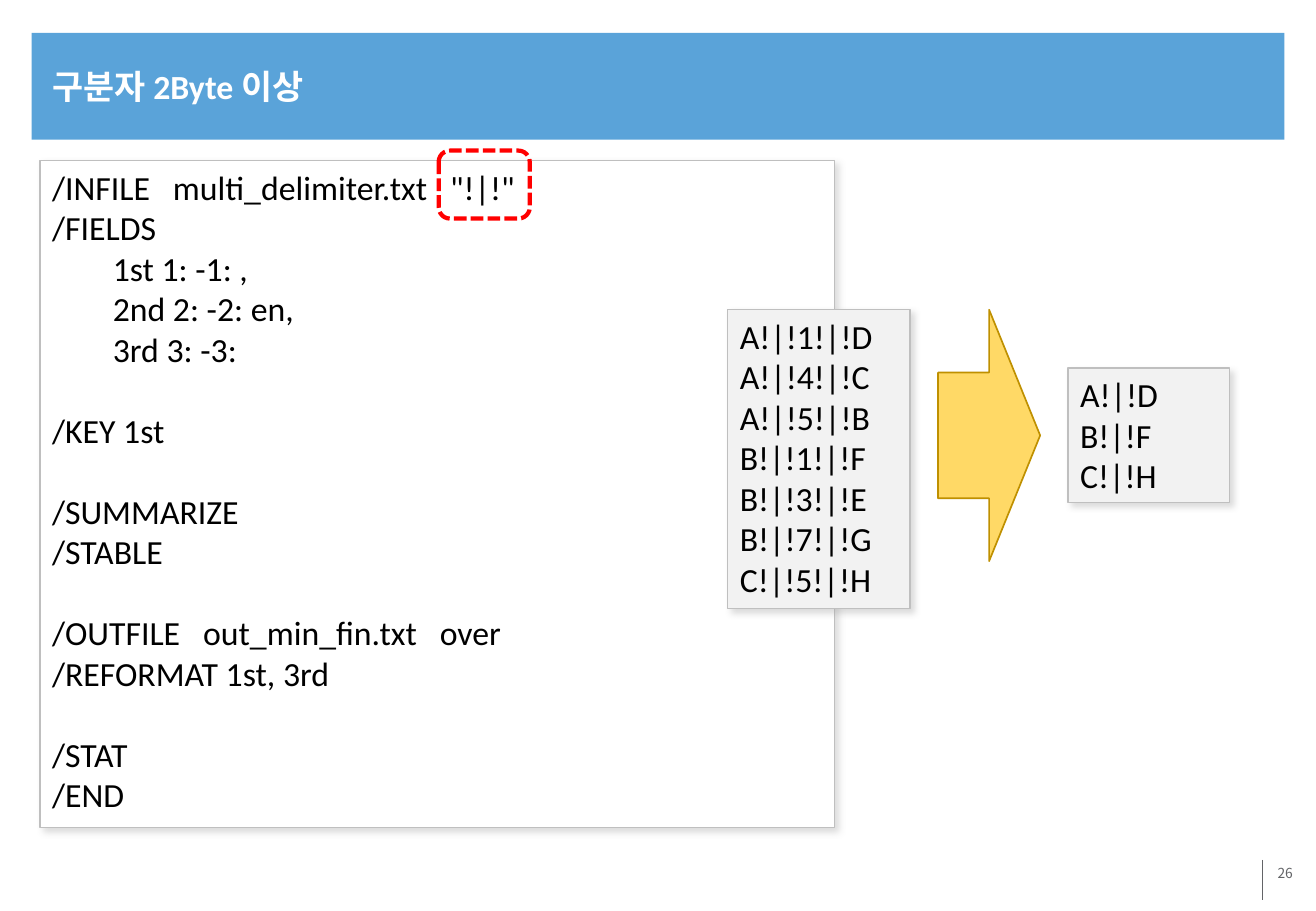
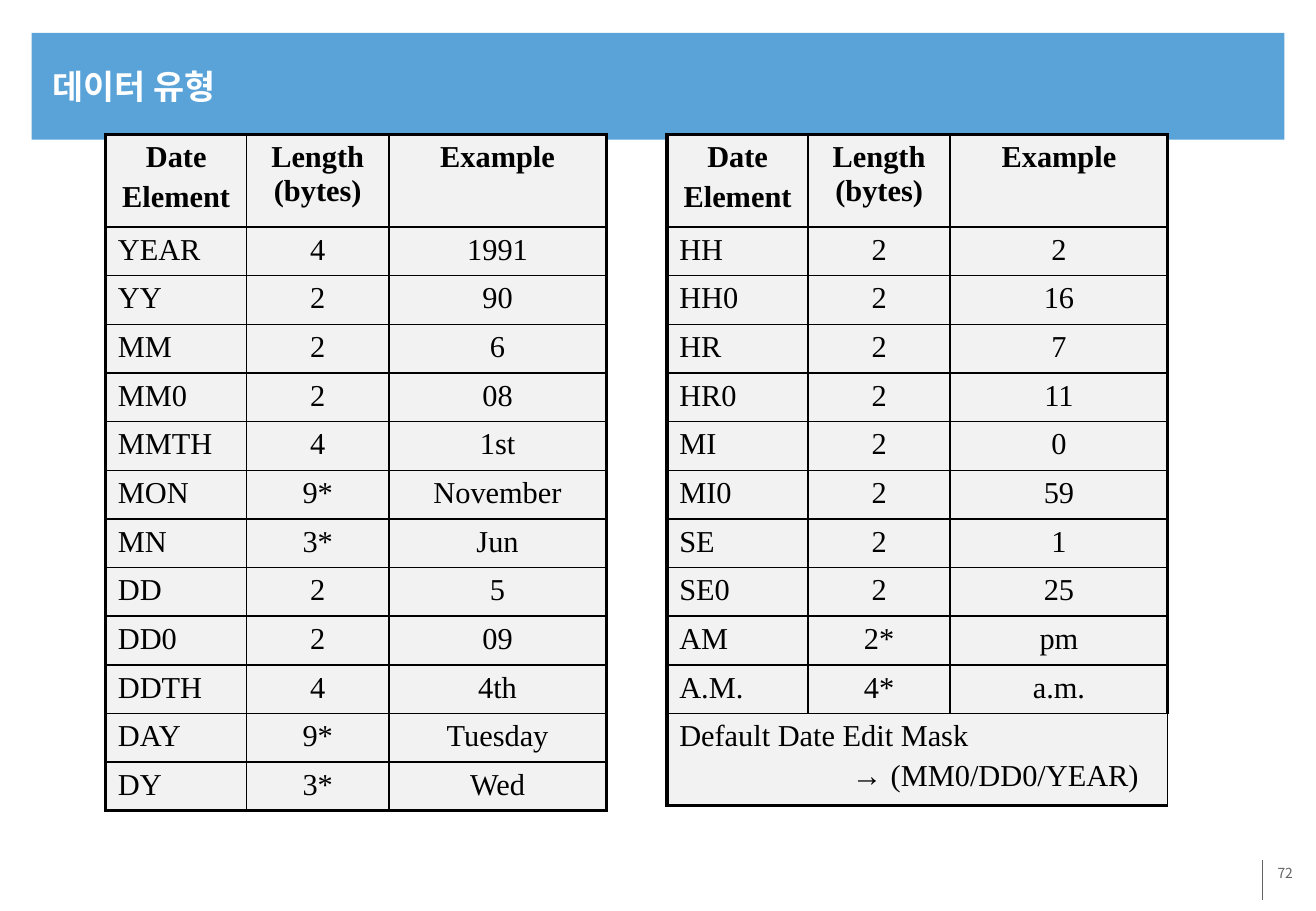
"""Build two slides: a multi-byte delimiter example and the date element tables."""
import pptx
import pptx.dml.color
import pptx.enum.dml
import pptx.enum.shapes
import pptx.enum.text
import pptx.oxml
import pptx.oxml.ns
import pptx.util

Inches, Pt = pptx.util.Inches, pptx.util.Pt
RGBColor = pptx.dml.color.RGBColor
SHAPE = pptx.enum.shapes.MSO_SHAPE
ALIGN = pptx.enum.text.PP_ALIGN
ANCHOR = pptx.enum.text.MSO_ANCHOR
qn, nsdecls = pptx.oxml.ns.qn, pptx.oxml.ns.nsdecls

BLUE = RGBColor(0x5A, 0xA3, 0xD9)
WHITE = RGBColor(0xFF, 0xFF, 0xFF)
BLACK = RGBColor(0, 0, 0)
SLATE = RGBColor(0x63, 0x64, 0x67)
LIGHT = RGBColor(0xF2, 0xF2, 0xF2)
SILVER = RGBColor(0xBF, 0xBF, 0xBF)
SHADOW = RGBColor(0xA6, 0xA6, 0xA6)
RED = RGBColor(0xFF, 0, 0)
YELLOW = RGBColor(0xFF, 0xD9, 0x66)
GOLD = RGBColor(0xBF, 0x90, 0)

TITLE_FONT = {"name": "Calibri", "size": Pt(20), "bold": True}
CODE_FONT = {"name": "Calibri", "size": Pt(20)}
NUMBER_FONT = {"name": "Noto Sans CJK KR", "size": Pt(8.2)}
HEAD_FONT = {"name": "Times New Roman", "size": Pt(18), "bold": True}
CELL_FONT = {**HEAD_FONT, "bold": False}

SCRIPT_BLOCKS = [
    ['/INFILE   multi_delimiter.txt   "!|!"', "/FIELDS",
     "\t1st 1: -1: ,", "\t2nd 2: -2: en,", "\t3rd 3: -3:"],
    ["/KEY 1st"],
    ["/SUMMARIZE", "/STABLE"],
    ["/OUTFILE   out_min_fin.txt   over", "/REFORMAT 1st, 3rd"],
    ["/STAT", "/END"],
]
INPUT_ROWS = ["A!|!1!|!D", "A!|!4!|!C", "A!|!5!|!B", "B!|!1!|!F",
              "B!|!3!|!E", "B!|!7!|!G", "C!|!5!|!H"]
OUTPUT_ROWS = ["A!|!D", "B!|!F", "C!|!H"]
CODE_BOXES = [
    ((0.33, 1.32, 6.54, 5.49), WHITE, SCRIPT_BLOCKS),
    ((5.99, 2.55, 1.5, 2.46), LIGHT, [INPUT_ROWS]),
    ((8.79, 3.03, 1.33, 1.11), LIGHT, [OUTPUT_ROWS]),
]

HEADER = ("Date\nElement", "Length\v(bytes)", "Example")
DATE_ROWS = [
    ("YEAR", "4", "1991"), ("YY", "2", "90"), ("MM", "2", "6"),
    ("MM0", "2", "08"), ("MMTH", "4", "1st"), ("MON", "9*", "November"),
    ("MN", "3*", "Jun"), ("DD", "2", "5"), ("DD0", "2", "09"),
    ("DDTH", "4", "4th"), ("DAY", "9*", "Tuesday"), ("DY", "3*", "Wed"),
]
TIME_ROWS = [
    ("HH", "2", "2"), ("HH0", "2", "16"), ("HR", "2", "7"),
    ("HR0", "2", "11"), ("MI", "2", "0"), ("MI0", "2", "59"),
    ("SE", "2", "1"), ("SE0", "2", "25"), ("AM", "2*", "pm"),
    ("A.M.", "4*", "a.m."),
]
DEFAULT_MASK = "Default Date Edit Mask\n→\t(MM0/DD0/YEAR)"
COLUMN_WIDTHS = (1.16, 1.17, 1.79)
TALL_ROW, ROW = 0.76, 0.4


def inches(values):
    return [Inches(value) for value in values]


def apply(target, formats):
    for name, value in formats.items():
        setattr(target, name, value)


def style_text(frame, font, color, align=ALIGN.LEFT):
    for para in frame.paragraphs:
        para.alignment = align
        for span in para.runs:
            apply(span.font, font)
            span.font.color.rgb = color


def add_shape(page, kind, place, fill=None, line=None, weight=0.75):
    shape = page.shapes.add_shape(kind, *inches(place))
    shape.shadow.inherit = False
    if fill is None:
        shape.fill.background()
    else:
        shape.fill.solid()
        shape.fill.fore_color.rgb = fill
    if line is None:
        shape.line.fill.background()
    else:
        shape.line.color.rgb = line
        shape.line.width = Pt(weight)
    return shape


def set_up_layout(layout, page):
    """Give the layout its title place, band and page-number rule."""
    for holder in list(layout.placeholders):
        if holder.placeholder_format.idx:
            holder.element.getparent().remove(holder.element)
        else:
            holder.left, holder.top, holder.width, holder.height = inches((0.33, 0.31, 10.2, 0.79))
    band = add_shape(page, SHAPE.RECTANGLE, (0.26, 0.27, 10.31, 0.88), BLUE)
    rule = page.shapes.add_connector(
        pptx.enum.shapes.MSO_CONNECTOR.STRAIGHT, *inches((10.39, 7.08, 10.39, 7.41)))
    rule.line.color.rgb = SLATE
    rule.line.width = Pt(0.75)
    rule.element.spPr.append(pptx.oxml.parse_xml(f"<a:effectLst {nsdecls('a')}/>"))
    for shape in (band, rule):
        layout.shapes.element.append(shape.element)


def fill_page(page, title, number):
    frame = page.shapes.title.text_frame
    frame.text = title
    frame.vertical_anchor = ANCHOR.MIDDLE
    style_text(frame, TITLE_FONT, WHITE)
    frame = page.shapes.add_textbox(*inches((8.88, 7.08, 1.83, 0.5))).text_frame
    apply(frame, {"word_wrap": True, "margin_left": Inches(0.07), "margin_right": Inches(0.07),
                  "margin_top": Inches(0.04), "margin_bottom": Inches(0.04)})
    frame.text = number
    style_text(frame, NUMBER_FONT, SLATE, ALIGN.RIGHT)


def add_code_box(page, place, fill, blocks):
    box = add_shape(page, SHAPE.RECTANGLE, place, fill, SILVER)
    box.element.spPr.find(qn("a:effectLst")).append(pptx.oxml.parse_xml(
        f'<a:outerShdw {nsdecls("a")} blurRad="{Pt(4)}" dist="{Pt(3)}" dir="2700000" '
        f'algn="tl" rotWithShape="0"><a:srgbClr val="{SHADOW}"><a:alpha val="40000"/>'
        '</a:srgbClr></a:outerShdw>'))
    frame = box.text_frame
    apply(frame, {"word_wrap": True, "vertical_anchor": ANCHOR.TOP})
    frame.text = "\n".join(line for block in blocks for line in block)
    style_text(frame, CODE_FONT, BLACK)
    start = 0
    for block in blocks[:-1]:
        start += len(block)
        frame.paragraphs[start].space_before = Pt(24)


def set_borders(cell, widths):
    properties = cell._tc.get_or_add_tcPr()
    for position, (side, width) in enumerate(widths.items()):
        properties.insert(position, pptx.oxml.parse_xml(
            f'<a:ln{side} {nsdecls("a")} w="{Pt(width)}"><a:solidFill>'
            f'<a:srgbClr val="{BLACK}"/></a:solidFill></a:ln{side}>'))


def add_date_table(page, left, rows, heights):
    last_row, last_column = len(rows) - 1, len(COLUMN_WIDTHS) - 1
    place = (left, 1.11, sum(COLUMN_WIDTHS), sum(heights))
    table = page.shapes.add_table(len(rows), len(COLUMN_WIDTHS), *inches(place)).table
    apply(table, {"first_row": False, "horz_banding": False})
    for column, width in zip(table.columns, COLUMN_WIDTHS):
        column.width = Inches(width)
    for r, (row, height) in enumerate(zip(rows, heights)):
        table.rows[r].height = Inches(height)
        if len(row) == 1:
            table.cell(r, 0).merge(table.cell(r, last_column))
        for c in range(last_column + 1):
            cell = table.cell(r, c)
            cell.fill.solid()
            cell.fill.fore_color.rgb = LIGHT
            outer = {"L": c == 0, "R": c == last_column, "T": r == 0, "B": r == last_row}
            set_borders(cell, {side: 2.25 if edge else 1 for side, edge in outer.items()})
            if c < len(row):
                cell.text = row[c]
                style_text(cell.text_frame, CELL_FONT if r else HEAD_FONT, BLACK,
                           ALIGN.LEFT if r and c == 0 else ALIGN.CENTER)
                for para in cell.text_frame.paragraphs[1:]:
                    para.space_before = Pt(3.6)
    return table


def main():
    deck = pptx.Presentation()
    deck.slide_width, deck.slide_height = inches((10.83, 7.5))
    layout = deck.slide_layouts[5]
    delimiter_page, date_page = [deck.slides.add_slide(layout) for _ in range(2)]
    set_up_layout(layout, delimiter_page)

    fill_page(delimiter_page, "구분자 2Byte 이상", "26")
    for place, fill, blocks in CODE_BOXES:
        add_code_box(delimiter_page, place, fill, blocks)
    marker = add_shape(delimiter_page, SHAPE.ROUNDED_RECTANGLE, (3.61, 1.24, 0.75, 0.56),
                       line=RED, weight=2.5)
    marker.line.dash_style = pptx.enum.dml.MSO_LINE.SQUARE_DOT
    add_shape(delimiter_page, SHAPE.RIGHT_ARROW, (7.72, 2.55, 0.84, 2.07), YELLOW, GOLD, 1)

    fill_page(date_page, "데이터 유형", "72")
    add_date_table(date_page, 0.87, [HEADER, *DATE_ROWS], [TALL_ROW] + [ROW] * len(DATE_ROWS))
    time_table = add_date_table(date_page, 5.49, [HEADER, *TIME_ROWS, (DEFAULT_MASK,)],
                                [TALL_ROW] + [ROW] * len(TIME_ROWS) + [TALL_ROW])
    mask = time_table.cell(len(TIME_ROWS) + 1, 0).text_frame.paragraphs[1]
    properties = mask._p.get_or_add_pPr()
    properties.set("marL", str(Inches(1.74)))
    properties.set("indent", str(Inches(-0.32)))

    deck.save("out.pptx")


if __name__ == "__main__":
    main()
